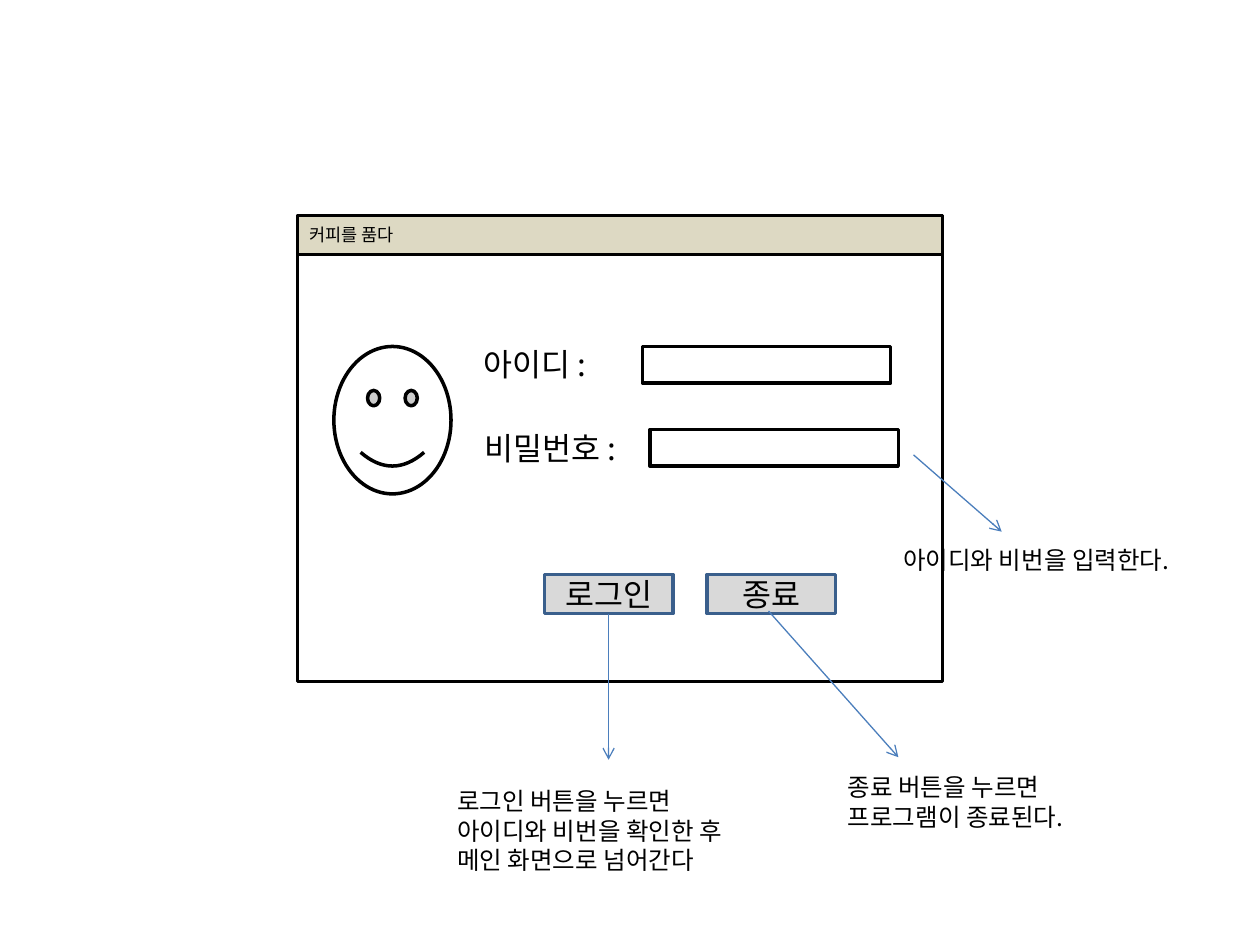
from dataclasses import dataclass

from lxml.etree import SubElement
from pptx import Presentation
from pptx.dml.color import RGBColor
from pptx.enum.shapes import MSO_CONNECTOR, MSO_SHAPE
from pptx.enum.text import MSO_ANCHOR, PP_ALIGN
from pptx.oxml.ns import qn
from pptx.util import Inches, Pt


@dataclass(frozen=True)
class Theme:
    font: str = "Noto Sans CJK KR"
    ink: str = "000000"
    paper: str = "FFFFFF"
    title_bar: str = "DDD9C3"
    button: str = "D9D9D9"
    button_edge: str = "3A5F8C"
    arrow: str = "4B7EBC"
    title_size: int = 10
    label_size: int = 18
    note_size: int = 14
    outline: float = 2
    arrow_width: float = 0.75


def write(frame, text, *, theme, size, align=PP_ALIGN.LEFT, anchor=MSO_ANCHOR.TOP):
    frame.word_wrap = True
    frame.vertical_anchor = anchor
    paragraph = frame.paragraphs[0]
    paragraph.text = text
    paragraph.alignment = align
    for run in paragraph.runs:
        run.font.name = theme.font
        run.font.size = Pt(size)
        run.font.color.rgb = RGBColor.from_string(theme.ink)
        SubElement(run.font._element, qn("a:ea"), typeface=theme.font)


class Wireframe:
    columns, rows = 10, 7.5

    def __init__(self, deck, theme):
        self.theme = theme
        self.cell_width = deck.slide_width / self.columns
        self.cell_height = deck.slide_height / self.rows
        self.slide = deck.slides.add_slide(deck.slide_layouts[6])

    def place(self, *lengths):
        units = (self.cell_width, self.cell_height) * 2
        return [round(length * unit) for length, unit in zip(lengths, units)]

    def shape(self, *box, kind=MSO_SHAPE.RECTANGLE, fill=None, edge=None):
        shape = self.slide.shapes.add_shape(kind, *self.place(*box))
        shape.shadow.inherit = False
        shape.fill.solid()
        shape.fill.fore_color.rgb = RGBColor.from_string(fill or self.theme.paper)
        shape.line.color.rgb = RGBColor.from_string(edge or self.theme.ink)
        shape.line.width = Pt(self.theme.outline)
        return shape

    def title_bar(self, text, *box):
        bar = self.shape(*box, fill=self.theme.title_bar)
        write(bar.text_frame, text, theme=self.theme, size=self.theme.title_size,
              anchor=MSO_ANCHOR.MIDDLE)

    def button(self, text, *box):
        button = self.shape(*box, fill=self.theme.button, edge=self.theme.button_edge)
        write(button.text_frame, text, theme=self.theme, size=self.theme.label_size,
              align=PP_ALIGN.CENTER, anchor=MSO_ANCHOR.MIDDLE)

    def text(self, text, *box, size):
        frame = self.slide.shapes.add_textbox(*self.place(*box)).text_frame
        write(frame, text, theme=self.theme, size=size)

    def arrow(self, *ends):
        arrow = self.slide.shapes.add_connector(MSO_CONNECTOR.STRAIGHT, *self.place(*ends))
        arrow.line.color.rgb = RGBColor.from_string(self.theme.arrow)
        arrow.line.width = Pt(self.theme.arrow_width)
        SubElement(arrow.line._get_or_add_ln(), qn("a:tailEnd"), type="arrow")
        SubElement(arrow._element.spPr, qn("a:effectLst"))


deck = Presentation()
deck.slide_width, deck.slide_height = Inches(10), Inches(7.5)
theme = Theme()
login = Wireframe(deck, theme)

window_left, window_top, window_width = 2.36, 1.71, 5.12
login.shape(window_left, window_top, window_width, 3.7)
login.title_bar("커피를 품다", window_left, window_top, window_width, 0.31)

fields = [("아이디 :", 3.74, 2.69, 5.1, 2.75), ("비밀번호 :", 3.75, 3.36, 5.16, 3.41)]
for label, label_left, label_top, input_left, input_top in fields:
    login.text(label, label_left, label_top, 1.57, 0.4, size=theme.label_size)
    login.shape(input_left, input_top, 1.97, 0.29)

for column, caption in enumerate(("로그인", "종료")):
    login.button(caption, 4.32 + column * 1.29, 4.56, 1.02, 0.31)

login.shape(2.65, 2.75, 0.93, 1.17, kind=MSO_SHAPE.SMILEY_FACE)

notes = [
    ("로그인 버튼을 누르면\v아이디와 비번을 확인한 후\v메인 화면으로 넘어간다",
     (3.53, 6.19, 2.65, 0.81), (4.83, 4.87, 4.83, 6.03)),
    ("종료 버튼을 누르면\v프로그램이 종료된다.",
     (6.63, 6.08, 2.65, 0.57), (6.1, 4.85, 7.13, 6.01)),
    ("아이디와 비번을 입력한다.",
     (7.07, 4.28, 2.65, 0.34), (7.25, 3.61, 7.95, 4.22)),
]
for note, box, ends in notes:
    login.arrow(*ends)
    login.text(note, *box, size=theme.note_size)

deck.save("out.pptx")
